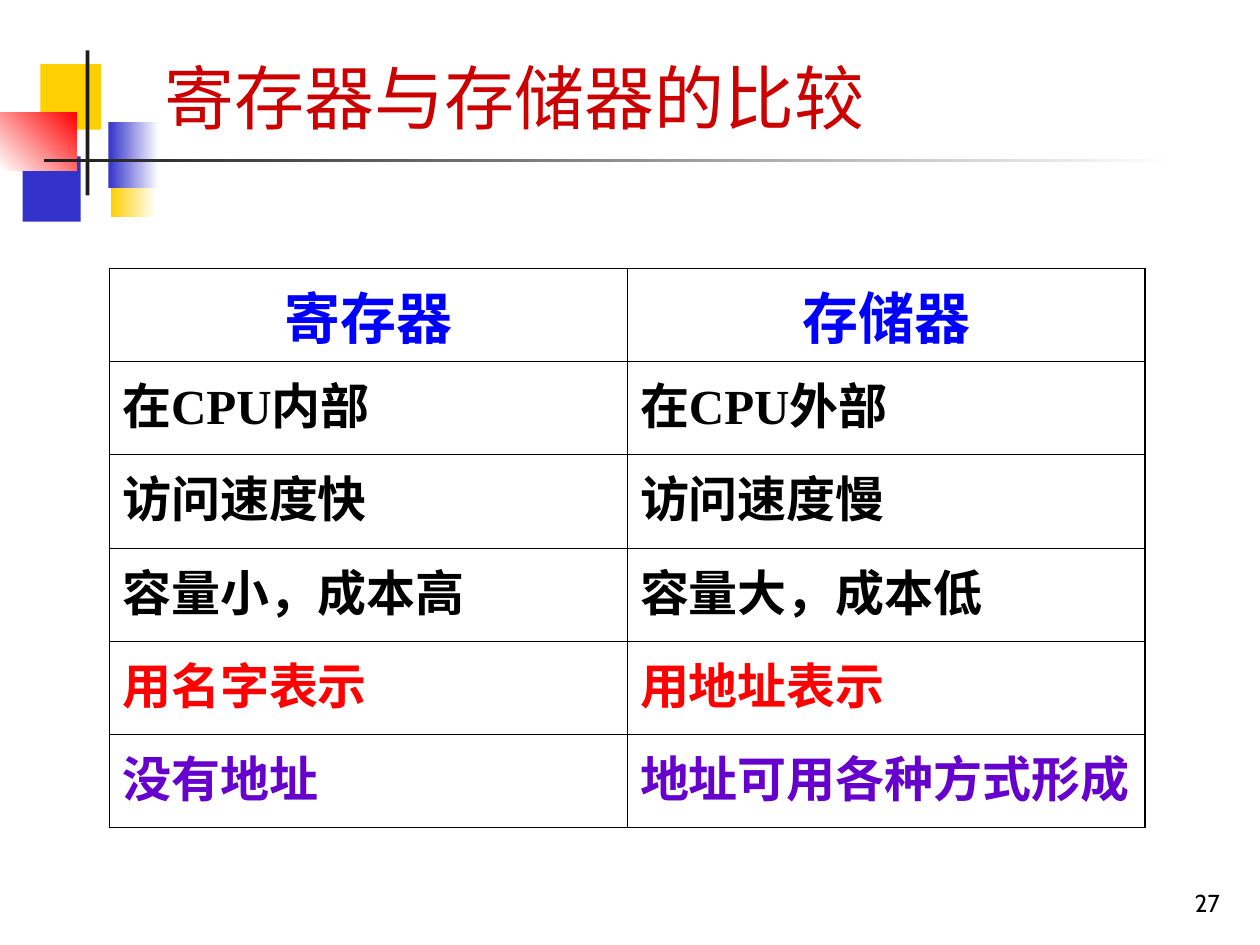
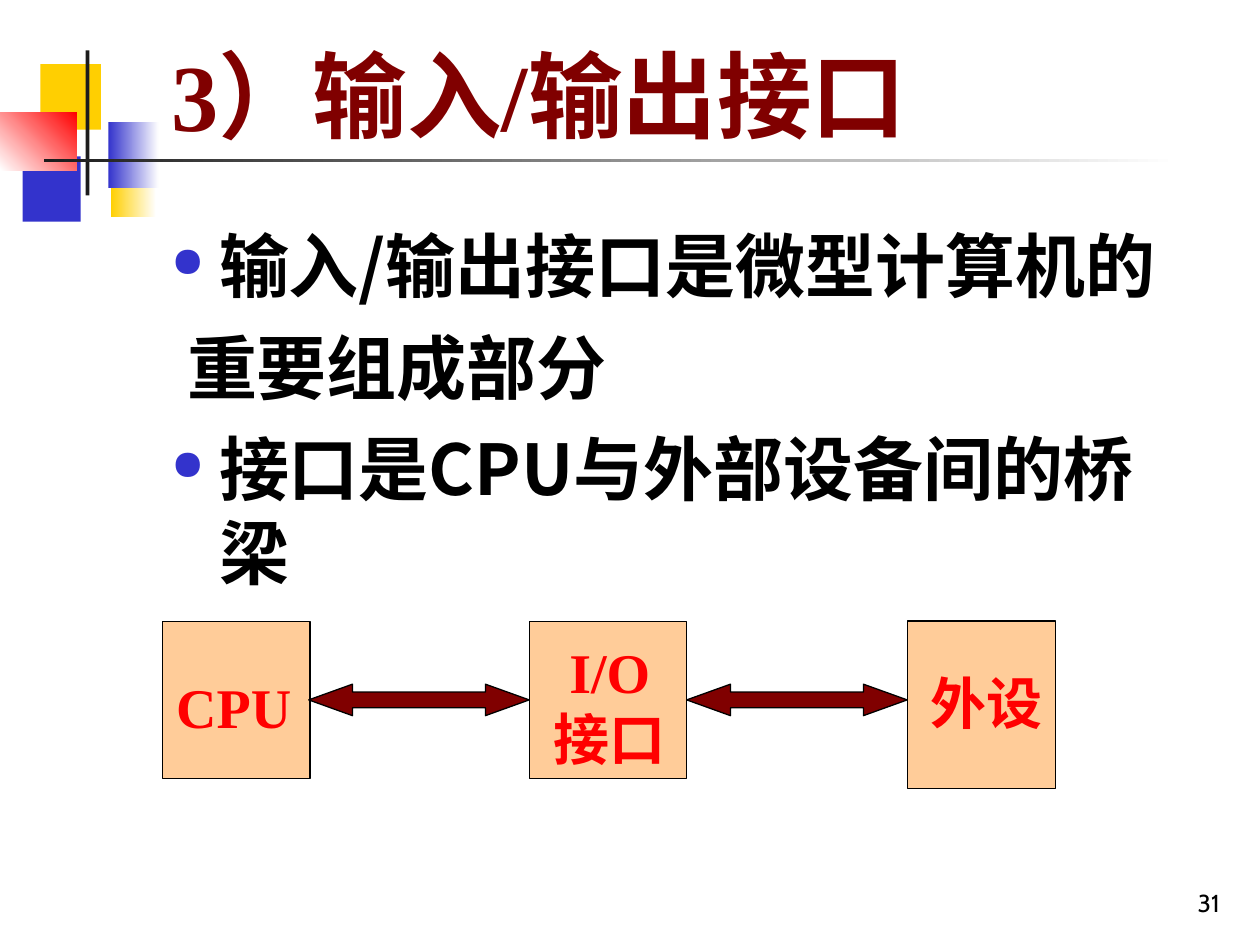
from lxml.etree import SubElement
from pptx import Presentation
from pptx.dml.color import RGBColor
from pptx.enum.shapes import MSO_SHAPE as Shape
from pptx.enum.text import MSO_ANCHOR as Anchor, MSO_AUTO_SIZE as AutoSize, PP_ALIGN as Align
from pptx.oxml.ns import qn
from pptx.util import Inches, Pt

BLACK = RGBColor(0x00, 0x00, 0x00)
WHITE = RGBColor(0xFF, 0xFF, 0xFF)
CHARCOAL = RGBColor(0x1C, 0x1C, 0x1C)
GOLD = RGBColor(0xFF, 0xCF, 0x01)
INDIGO = RGBColor(0x33, 0x33, 0xCC)
RED = RGBColor(0xFF, 0x00, 0x00)
TITLE_RED = RGBColor(0xCC, 0x00, 0x00)
MAROON = RGBColor(0x80, 0x00, 0x00)
BLUE = RGBColor(0x00, 0x00, 0xFF)
PURPLE = RGBColor(0x66, 0x00, 0xCC)
PEACH = RGBColor(0xFF, 0xCC, 0x99)

SERIF = "Times New Roman"
CJK = "Noto Sans CJK SC"
NUMBER_FONT = "Cabin"
OUTER_BORDER, INNER_BORDER = Pt(1.08), Pt(0.45)

# Left, top, width, height, start colour, end colour, gradient angle
DECORATION = [
    (0.88, 1.20, 0.36, 0.52, GOLD, WHITE, 0),
    (0.18, 1.24, 0.46, 0.52, INDIGO, None, 0),
    (0.32, 0.51, 0.48, 0.52, GOLD, None, 0),
    (0.86, 0.97, 0.40, 0.52, INDIGO, WHITE, 0),
    (0, 0.89, 0.61, 0.46, WHITE, RED, 45),
    (0.68, 0.40, 0.03, 1.15, CHARCOAL, None, 0),
    (0.35, 1.26, 9, 0.03, CHARCOAL, WHITE, 0),
]


class SlideBuilder:
    def __init__(self, deck):
        self.deck = deck
        self.slide = None

    def new_slide(self, number):
        """Start a slide with the shared decoration and its page number."""
        self.slide = self.deck.slides.add_slide(self.deck.slide_layouts[6])
        for *place, start, end, angle in DECORATION:
            self.shape(Shape.RECTANGLE, place, start, end=end, angle=angle)
        frame = self.text_box((7.7, 6.83, 2.08, 0.5), Anchor.BOTTOM)
        self.add_text(frame.paragraphs[0], str(number), 14, BLACK, NUMBER_FONT,
                      bold=False, align=Align.RIGHT)

    def shape(self, kind, place, color, line=None, end=None, angle=0):
        shape = self.slide.shapes.add_shape(kind, *map(Inches, place))
        shape.shadow.inherit = False
        if end is None:
            shape.fill.solid()
            shape.fill.fore_color.rgb = color
        else:
            shape.fill.gradient()
            shape.fill.gradient_angle = angle
            for stop, stop_color, position in zip(shape.fill.gradient_stops, (color, end), (0, 1)):
                stop.color.rgb = stop_color
                stop.position = position
        if line is None:
            shape.line.fill.background()
        else:
            shape.line.color.rgb = line
            shape.line.width = Pt(0.75)
        return shape

    def text_box(self, place, anchor=Anchor.TOP):
        frame = self.slide.shapes.add_textbox(*map(Inches, place)).text_frame
        frame.word_wrap = True
        frame.vertical_anchor = anchor
        return frame

    def add_text(self, para, text, size, color, font=SERIF, bold=True,
                 align=Align.LEFT, before=0):
        para.alignment = align
        para.space_before = Pt(before)
        span = para.add_run()
        span.text = text
        span.font.size = Pt(size)
        span.font.bold = bold
        span.font.name = font
        span.font.color.rgb = color
        SubElement(span._r.get_or_add_rPr(), qn("a:ea"), typeface=CJK)

    def title(self, text, place, size, color, bold):
        frame = self.text_box(place, Anchor.BOTTOM)
        self.add_text(frame.paragraphs[0], text, size, color, bold=bold)

    def bullets(self, items, place):
        """Add (text, has_bullet) items with a hanging indent."""
        frame = self.text_box(place)
        for index, (text, has_bullet) in enumerate(items):
            para = frame.add_paragraph() if index else frame.paragraphs[0]
            self.add_text(para, text, 40, BLACK, CJK, before=10)
            props = para._p.get_or_add_pPr()
            props.set("marL", str(Inches(0.38)))
            props.set("indent", str(-Inches(0.38)))
            if has_bullet:
                color = SubElement(props, qn("a:buClr"))
                SubElement(color, qn("a:srgbClr"), val=str(INDIGO))
                SubElement(props, qn("a:buSzPct"), val="60000")
                SubElement(props, qn("a:buChar"), char="●")
            else:
                SubElement(props, qn("a:buNone"))

    def borders(self, cell, widths):
        props = cell._tc.get_or_add_tcPr()
        for side, width in widths.items():
            line = SubElement(props, qn(f"a:ln{side}"), w=str(width))
            fill = SubElement(line, qn("a:solidFill"))
            SubElement(fill, qn("a:srgbClr"), val=str(BLACK))

    def table(self, rows, colors, place):
        """Draw a table whose first row is the header, one text colour per row."""
        last_row, last_column = len(rows) - 1, len(rows[0]) - 1
        table = self.slide.shapes.add_table(
            len(rows), len(rows[0]), *map(Inches, place)).table
        table.first_row = table.horz_banding = False
        for r, (texts, color) in enumerate(zip(rows, colors)):
            for c, text in enumerate(texts):
                cell = table.cell(r, c)
                edges = {"L": c == 0, "R": c == last_column, "T": r == 0, "B": r == last_row}
                self.borders(cell, {side: OUTER_BORDER if outer else INNER_BORDER
                                    for side, outer in edges.items()})
                cell.fill.background()
                para = cell.text_frame.paragraphs[0]
                if r == 0:
                    self.add_text(para, text, 32, color, CJK, align=Align.CENTER, before=8)
                else:
                    self.add_text(para, text, 28, color, before=7)

    def block_label(self, lines, place, align=Align.LEFT, before=0):
        frame = self.text_box(place)
        frame.auto_size = AutoSize.SHAPE_TO_FIT_TEXT
        for index, text in enumerate(lines):
            para = frame.add_paragraph() if index else frame.paragraphs[0]
            self.add_text(para, text, 32, RED, align=align, before=before)

    def double_arrow(self, left):
        arrow = self.shape(Shape.LEFT_RIGHT_ARROW, (left, 5.43, 1.75, 0.25), MAROON, line=BLACK)
        arrow.adjustments[0] = 0.5
        arrow.adjustments[1] = 1.39


def comparison_slide(builder):
    builder.new_slide(27)
    builder.title("寄存器与存储器的比较", (1.21, 0.35, 8.05, 0.8), 40, TITLE_RED, bold=False)
    rows = [
        ("寄存器", "存储器"),
        ("在CPU内部", "在CPU外部"),
        ("访问速度快", "访问速度慢"),
        ("容量小，成本高", "容量大，成本低"),
        ("用名字表示", "用地址表示"),
        ("没有地址", "地址可用各种方式形成"),
    ]
    colors = [BLUE, BLACK, BLACK, BLACK, RED, PURPLE]
    builder.table(rows, colors, (0.87, 2.13, 8.22, 4.44))


def interface_slide(builder):
    builder.new_slide(31)
    builder.title("3）输入/输出接口", (1.26, 0.58, 8.52, 0.66), 54, MAROON, bold=True)
    builder.bullets([
        ("输入/输出接口是微型计算机的", True),
        (" 重要组成部分", False),
        ("接口是CPU与外部设备间的桥梁", True),
    ], (1.26, 1.72, 8.31, 5.25))
    for left, width, height in [(1.29, 1.17, 1.25), (4.2, 1.25, 1.25), (7.2, 1.18, 1.33)]:
        builder.shape(Shape.RECTANGLE, (left, 4.93, width, height), PEACH, line=BLACK)
    builder.block_label(["CPU"], (1.3, 5.29, 1.18, 0.64), before=20)
    builder.block_label(["I/O", "接口"], (4.21, 5.01, 1.26, 1.17), Align.CENTER)
    builder.block_label(["外设"], (7.29, 5.26, 1.1, 0.64), before=20)
    for left in (2.45, 5.45):
        builder.double_arrow(left)


def main():
    deck = Presentation()
    deck.slide_width, deck.slide_height = Inches(10), Inches(7.5)
    builder = SlideBuilder(deck)
    comparison_slide(builder)
    interface_slide(builder)
    deck.save("out.pptx")


if __name__ == "__main__":
    main()
